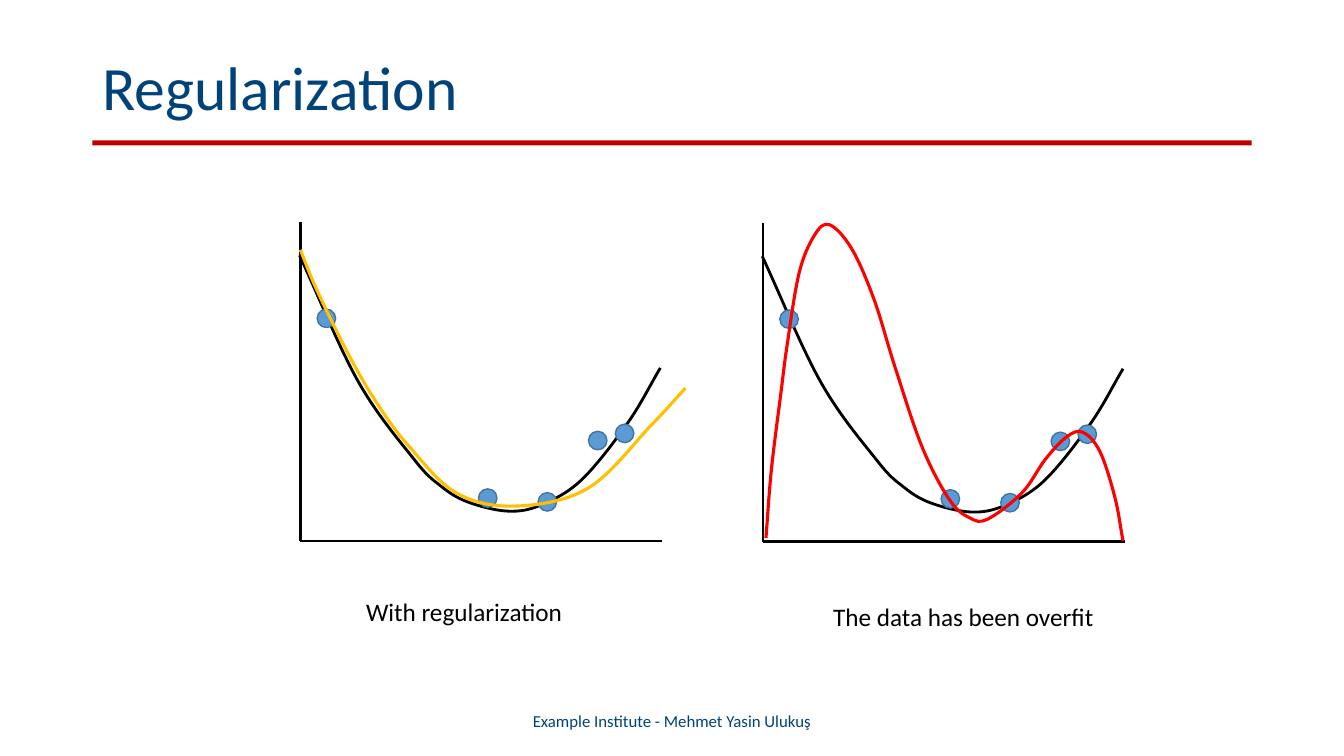
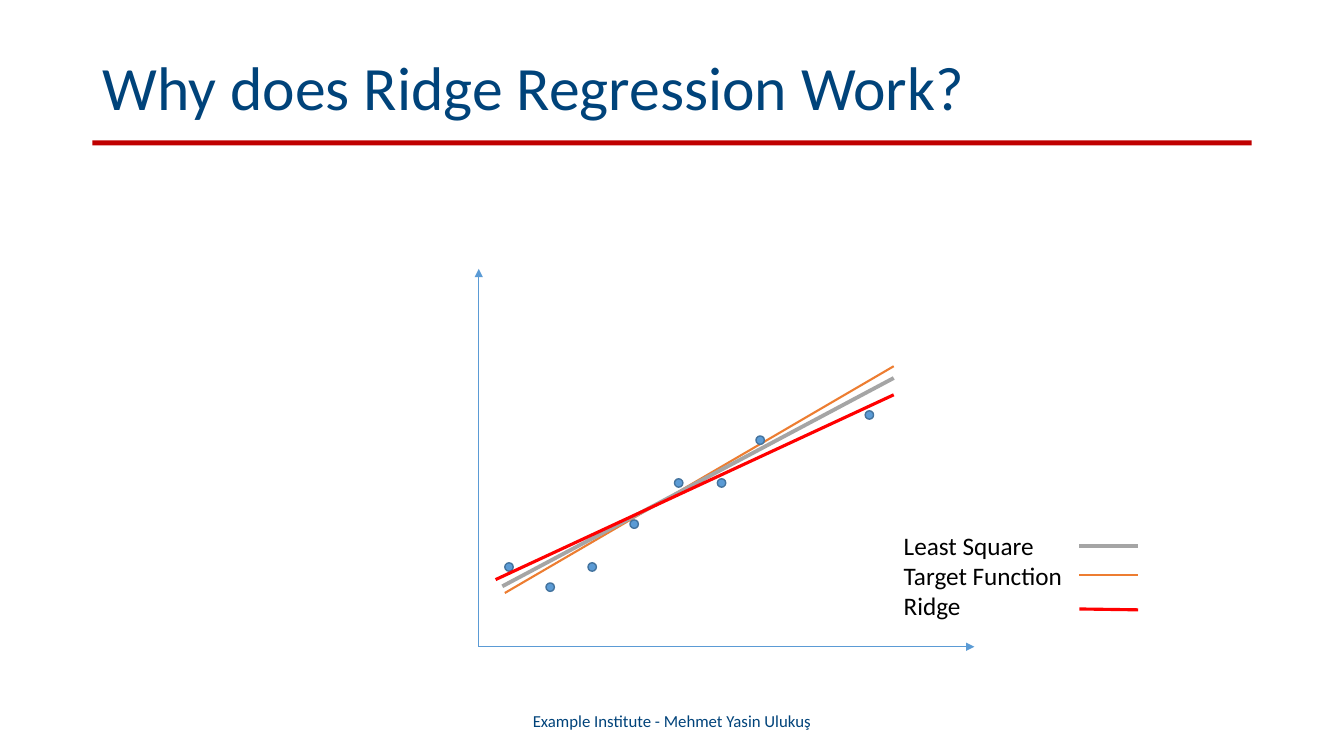
from lxml import etree
from pptx import Presentation
from pptx import util as u
from pptx.dml.color import RGBColor
from pptx.enum import shapes, text
from pptx.oxml.ns import qn

C = dict(navy="00437A", band="C00000", black="000000", dot="5B9BD5", rim="43739E",
         red="FF0000", gold="FFC000", orange="ED7D31", grey="A5A5A5")
COLS, ROWS = 160, 90

prs = Presentation()
prs.slide_width, prs.slide_height = u.Inches(13.33), u.Inches(7.5)
cw, rh = prs.slide_width / COLS, prs.slide_height / ROWS
layout = prs.slide_layouts[5]


def cells(*vals):
    return [round(v * (rh if i % 2 else cw)) for i, v in enumerate(vals)]


def write(sp, lines, size=18, color="black", align=text.PP_ALIGN.LEFT,
          anchor=text.MSO_ANCHOR.TOP, spacing=None):
    tf = sp.text_frame
    tf.word_wrap = True
    tf.auto_size = text.MSO_AUTO_SIZE.NONE
    tf.vertical_anchor = anchor
    for i, line in enumerate(lines.split("\n")):
        p = tf.add_paragraph() if i else tf.paragraphs[0]
        p.alignment, p.line_spacing = align, spacing
        r = p.add_run()
        r.text = line
        r.font.name, r.font.size = "Calibri", u.Pt(size)
        r.font.color.rgb = RGBColor.from_string(C[color])


title = layout.placeholders[0]
title.left, title.top, title.width, title.height = cells(11, 4.8, 138, 11.9)

slides = []
for heading in ("Regularization", "Why does Ridge Regression Work?"):
    s = prs.slides.add_slide(layout)
    slides.append(s)
    write(s.shapes.title, heading, size=44, color="navy",
          anchor=text.MSO_ANCHOR.MIDDLE, spacing=0.9)
    write(s.shapes.add_textbox(*cells(53, 83.4, 54, 4.8)),
          "Example Institute - Mehmet Yasin Ulukuş", size=12, color="navy",
          align=text.PP_ALIGN.CENTER, anchor=text.MSO_ANCHOR.MIDDLE)
fit, ridge = slides

band = fit.shapes.add_shape(shapes.MSO_SHAPE.RECTANGLE, *cells(11, 16.7, 138, 0.6))
band.shadow.inherit = False
band.fill.solid()
band.fill.fore_color.rgb = RGBColor.from_string(C["band"])
band.line.fill.background()
layout.element.cSld.spTree.append(band.element)

for s, at, label in (
    (fit, (42.4, 70.4, 39.2, 4.8), "With regularization"),
    (fit, (98, 71, 39.2, 4.8), "The data has been overfit"),
    (ridge, (106.4, 62.5, 23.2, 12.1), "Least Square\nTarget Function\nRidge"),
):
    write(s.shapes.add_textbox(*cells(*at)), label)

valley = [(-0.1, 4), (6.85, 18.95), (13.55, 28.3), (16.7, 31.45), (19.9, 33.35),
          (24.7, 34.45), (28.7, 33.7), (33.5, 30.7), (39, 23.9), (42.85, 17.4)]
samples = [(3.1, 11.5), (22.3, 32.9), (29.4, 33.35), (35.4, 26.05), (38.6, 25.2)]
regular = [(0, 3.35), (2.05, 8.3), (5.9, 16.1), (9.35, 21.95), (12.95, 26.75),
           (18.6, 32.3), (25.7, 33.85), (34.3, 31.7), (41.75, 24.25), (45.85, 19.8)]
overfit = [(0.35, 37.55), (1, 29.4), (2.15, 20.15), (2.9, 14.4), (4.3, 6),
           (6.1, 1.55), (7.9, 0.25), (10.55, 3.1), (13.2, 9.1), (15.7, 17.15),
           (18.95, 26.75), (22.2, 33), (24.6, 35.15), (26.75, 35.3),
           (30.85, 32.15), (33.6, 28.2), (36.1, 25.55), (38.05, 24.95),
           (40.1, 27.25), (41.9, 32.75), (42.85, 37.9)]
noisy = [(60.6, 67.5), (65.5, 69.9), (70.5, 67.5), (75.5, 62.4),
         (80.8, 57.5), (85.9, 57.5), (90.5, 52.4), (103.5, 49.4)]
base = [("line", [(0, 0), (0, 38)], "black", 2),
        ("line", [(0, 38), (43.1, 38)], "black", 2),
        ("curve", valley, "black", 2),
        ("dots", samples, "dot", 2.2)]

plots = [
    (fit, (90.84, 26.5), base + [("curve", overfit, "red", 2.25)]),
    (fit, (35.76, 26.4), base + [("curve", regular, "gold", 2.25)]),
    (ridge, (0, 0), [
        ("arrow", [(57, 77), (116, 77)], "dot", 0.5),
        ("arrow", [(57, 77), (57, 32)], "dot", 0.5),
        ("line", [(60.1, 70.6), (106.4, 43.6)], "orange", 1.5),
        ("dots", noisy, "dot", 1),
        ("line", [(59.8, 69.8), (106.4, 45)], "grey", 2.75),
        ("line", [(59, 69), (106.4, 47)], "red", 2.25)]),
    (ridge, (128.5, 65), [
        ("line", [(0, 0), (7, 0)], "grey", 2.75),
        ("line", [(0, 3.4), (7, 3.4)], "orange", 1.5),
        ("line", [(0, 7.5), (7, 7.6)], "red", 2.25)]),
]

for s, (ox, oy), marks in plots:
    group = s.shapes.add_group_shape().shapes
    for kind, knots, color, size in marks:
        pts = [cells(ox + x, oy + y) for x, y in knots]
        rgb = RGBColor.from_string(C[color])

        if kind == "dots":
            w, h = cells(size, size)
            for x, y in pts:
                sp = group.add_shape(shapes.MSO_SHAPE.OVAL, x - w // 2, y - h // 2, w, h)
                sp.shadow.inherit = False
                sp.fill.solid()
                sp.fill.fore_color.rgb = rgb
                sp.line.color.rgb = RGBColor.from_string(C["rim"])
                sp.line.width = u.Pt(1)
            continue

        if kind == "curve":
            fb = group.build_freeform(*pts[0])
            fb.add_line_segments(pts[1:], close=False)
            sp = fb.convert_to_shape()
            sp.shadow.inherit = False
            sp.fill.background()
            ends = [pts[0]] + pts + [pts[-1]]
            for i, seg in enumerate(list(sp.element.iter(qn("a:lnTo")))):
                a, b, c, d = ends[i:i + 4]
                before = 3 if i == 0 else 6
                after = 3 if i == len(pts) - 2 else 6
                bez = etree.Element(qn("a:cubicBezTo"))
                for x, y in ([b[k] + (c[k] - a[k]) / before for k in (0, 1)],
                             [c[k] - (d[k] - b[k]) / after for k in (0, 1)], c):
                    etree.SubElement(bez, qn("a:pt"), x=str(round(x - sp.left)),
                                     y=str(round(y - sp.top)))
                seg.getparent().replace(seg, bez)
        else:
            sp = group.add_connector(shapes.MSO_CONNECTOR.STRAIGHT, *pts[0], *pts[1])
            etree.SubElement(sp.element.spPr, qn("a:effectLst"))

        sp.line.color.rgb = rgb
        sp.line.width = u.Pt(size)
        if kind == "arrow":
            ln = sp.element.spPr.find(qn("a:ln"))
            etree.SubElement(ln, qn("a:tailEnd"), type="triangle")

prs.save("out.pptx")
